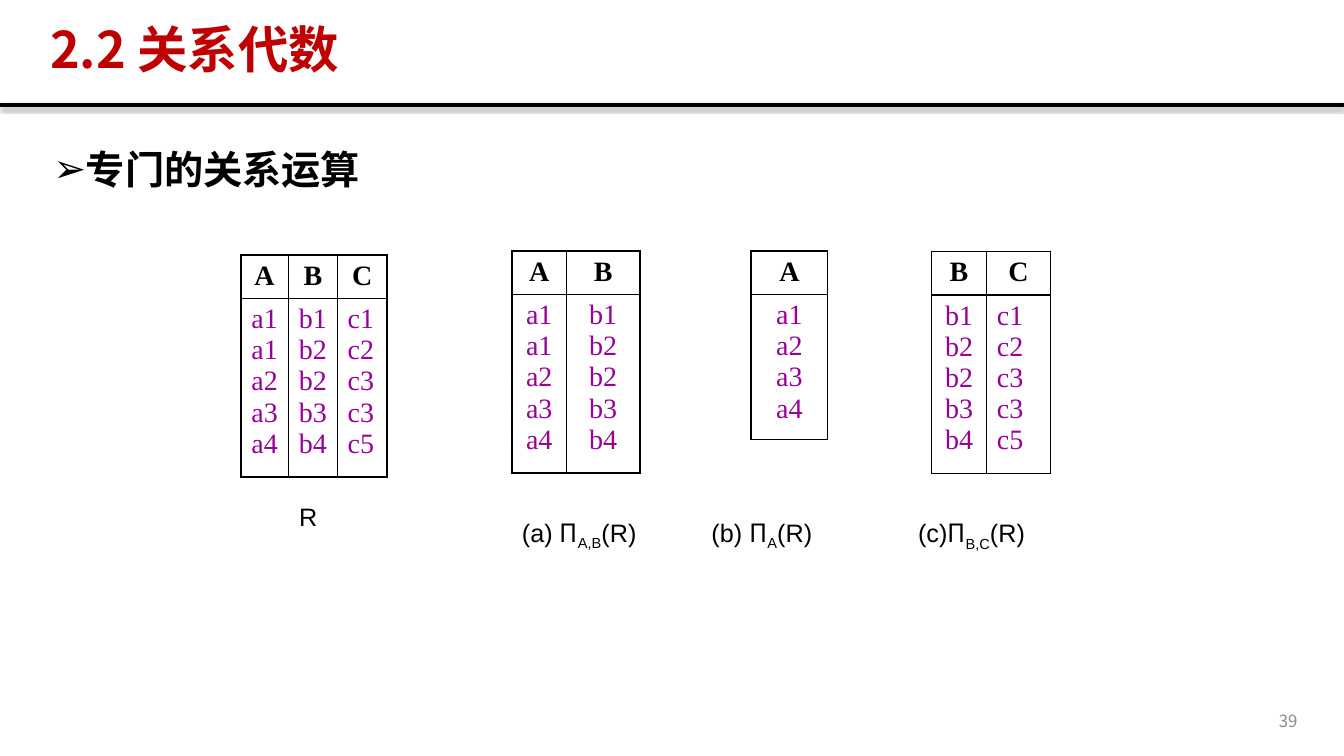
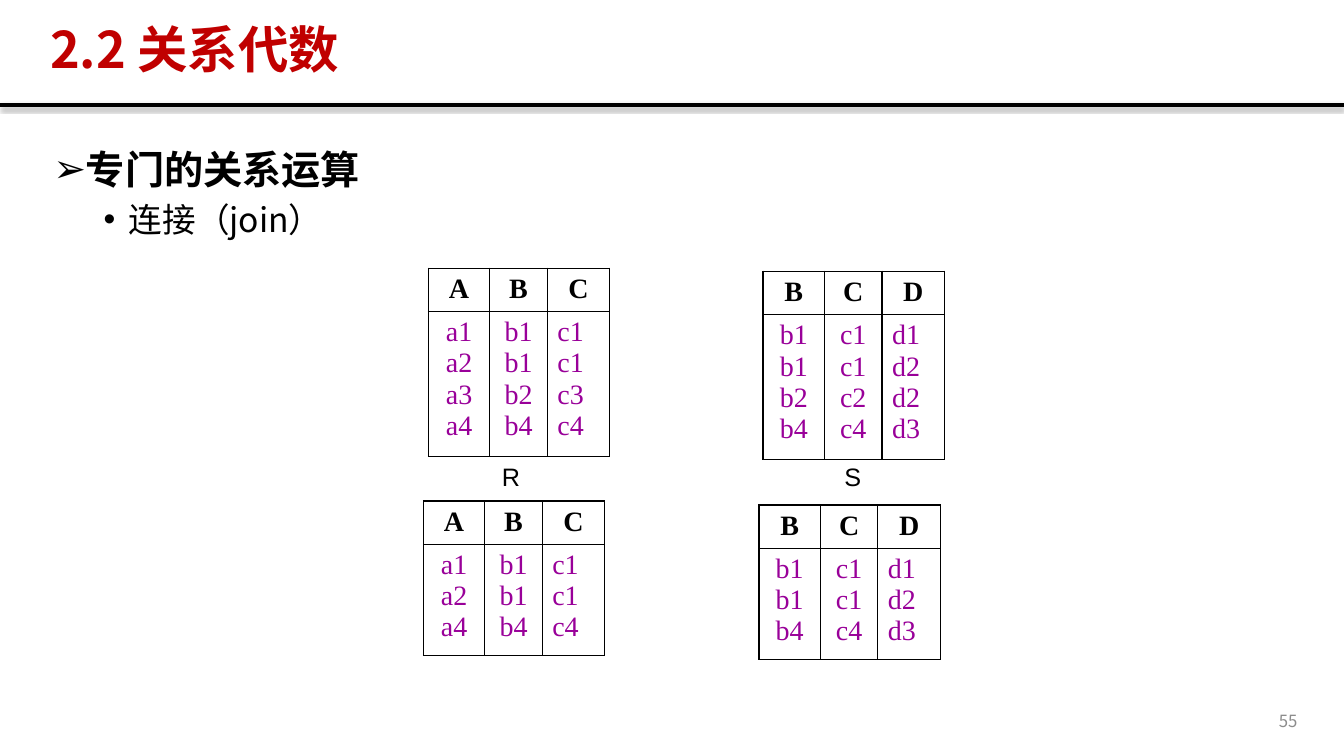
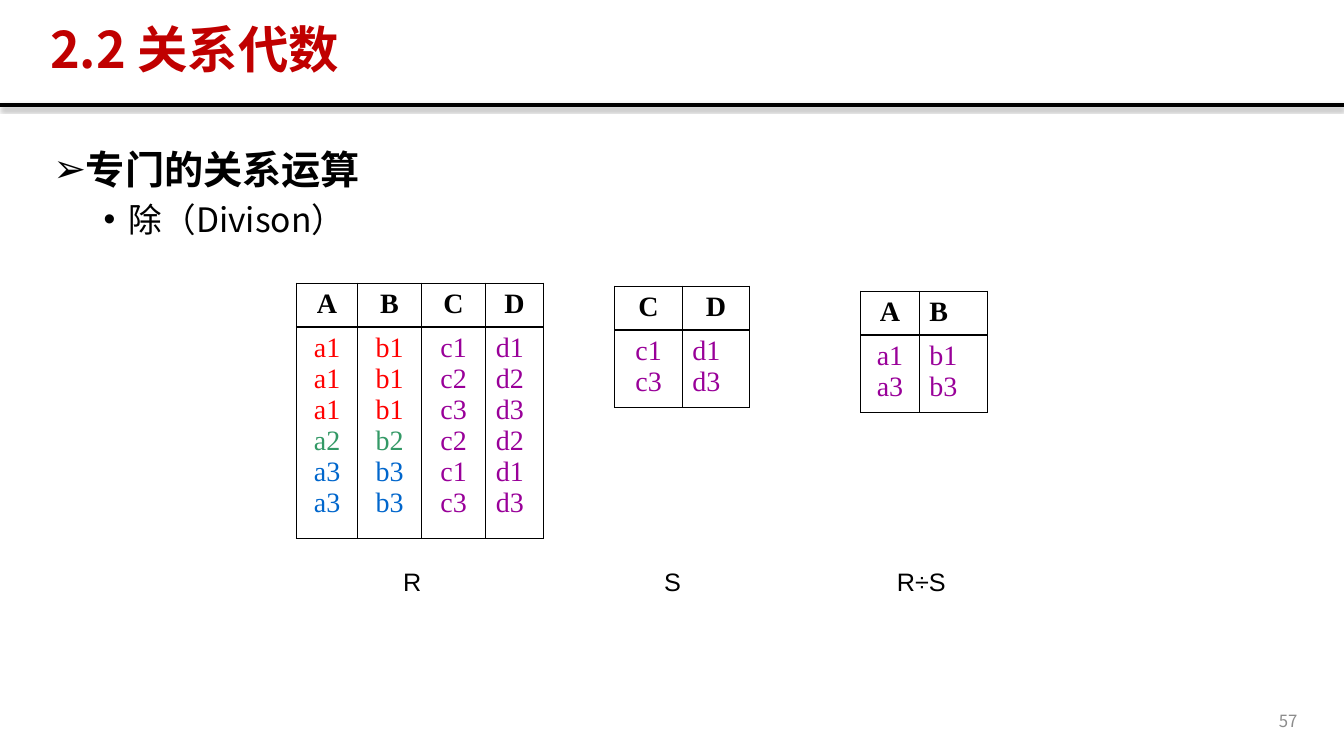
from lxml import etree
from pptx import Presentation
from pptx import util as u
from pptx.dml.color import RGBColor
from pptx.enum import shapes, text
from pptx.oxml import ns

COLUMNS, ROWS = 40, 22.5
CELL = u.Inches(13.3333) / COLUMNS
BLACK, PURPLE, TITLE_RED, GREY = "000000", "990099", "C00000", "8C8C8C"
RED, GREEN, BLUE = "FF0000", "339966", "0066CC"
SANS, SERIF, CAPTION = "Noto Sans CJK SC", "Times New Roman", "Arial"
ALIGN = text.PP_ALIGN
HEADER_ROWS, CELL_PADDING = 1.3, 0.3
TITLE_BOX = (1.2, 0.57, 35.1, 1.95)
BODY_BOX = (1.29, 4.17, 37.6, 16)
NUMBER_BOX = (29.91, 20.85, 9, 1.2)
RULE_ROW = 3.12
THREE_COLUMNS = (1.83, 1.71, 1.86)
GROUP_TINTS = {"a1": RED, "b1": RED, "a2": GREEN, "b2": GREEN, "a3": BLUE, "b3": BLUE}


def grid(*lengths):
    return [u.Emu(round(length * CELL)) for length in lengths]


def color(value):
    return RGBColor.from_string(value)


def add_xml(parent, tag, **attributes):
    return etree.SubElement(parent, ns.qn(tag), attributes)


def add_span(para, words, size, face, tint=BLACK, bold=False, subscript=False):
    span = para.add_run()
    span.text = words
    font = span.font
    font.size, font.bold, font.name = u.Pt(size), bold, face
    font.color.rgb = color(tint)
    properties = span._r.get_or_add_rPr()
    add_xml(properties, "a:ea", typeface=face)
    if subscript:
        properties.set("baseline", "-25000")


def add_frame(page, box, wrap=True, middle=False, grow=False):
    frame = page.shapes.add_textbox(*grid(*box)).text_frame
    frame.word_wrap = wrap
    if middle:
        frame.vertical_anchor = text.MSO_ANCHOR.MIDDLE
    if grow:
        frame.auto_size = text.MSO_AUTO_SIZE.SHAPE_TO_FIT_TEXT
    return frame


def add_rule(page):
    left, right, row = grid(0, COLUMNS, RULE_ROW)
    rule = page.shapes.add_connector(shapes.MSO_CONNECTOR.STRAIGHT, left, row, right, row)
    rule.line.color.rgb = color(BLACK)
    rule.line.width = u.Pt(3)
    effects = add_xml(rule._element.spPr, "a:effectLst")
    shadow = add_xml(effects, "a:outerShdw", blurRad=str(u.Pt(3.1)), dist=str(u.Pt(1.8)),
                     dir="5400000", algn="t", rotWithShape="0")
    add_xml(add_xml(shadow, "a:srgbClr", val=BLACK), "a:alpha", val="35000")


def add_title(page, box):
    para = add_frame(page, box, middle=True, grow=True).paragraphs[0]
    para.alignment, para.line_spacing = ALIGN.JUSTIFY, 0.9
    add_span(para, "2.2 关系代数", 36, SANS, TITLE_RED, bold=True)


def set_bullet(para, mark, indent):
    properties = para._p.get_or_add_pPr()
    properties.set("marL", str(u.Inches(indent)))
    properties.set("indent", str(-u.Inches(0.25)))
    add_xml(properties, "a:buFont", typeface=CAPTION)
    add_xml(properties, "a:buChar", char=mark)
    para.alignment = ALIGN.JUSTIFY


def add_outline(page, box, topic):
    frame = add_frame(page, box)
    heading = frame.paragraphs[0]
    set_bullet(heading, "➢", 0.25)
    add_span(heading, "专门的关系运算", 28, SANS, bold=True)
    if topic:
        para = frame.add_paragraph()
        para.level = 1
        set_bullet(para, "•", 0.75)
        para.space_before = u.Pt(5)
        add_span(para, topic, 24, SANS)


def add_number(page, box, number):
    para = add_frame(page, box, middle=True).paragraphs[0]
    para.alignment = ALIGN.RIGHT
    add_span(para, str(number), 12, SANS, GREY)


def add_page(deck, number, topic=None):
    page = deck.slides.add_slide(deck.slide_layouts[6])
    add_rule(page)
    add_outline(page, BODY_BOX, topic)
    add_number(page, NUMBER_BOX, number)
    add_title(page, TITLE_BOX)
    return page


def set_borders(cell):
    properties = cell._tc.get_or_add_tcPr()
    for side in ("a:lnL", "a:lnR", "a:lnT", "a:lnB"):
        border = add_xml(properties, side, w=str(u.Pt(1)))
        add_xml(add_xml(border, "a:solidFill"), "a:srgbClr", val=BLACK)


def fill_cell(cell, values, alignment, tints, bold=False):
    set_borders(cell)
    cell.fill.background()
    frame = cell.text_frame
    for index, value in enumerate(values):
        para = frame.add_paragraph() if index else frame.paragraphs[0]
        para.alignment = alignment
        add_span(para, value, 20, SERIF, BLACK if bold else tints.get(value, PURPLE), bold)


def add_relation(page, left, top, widths, attributes, last_left=True, header_left=False, tints=None):
    columns = [attribute.split() for attribute in attributes]
    heights = (HEADER_ROWS, len(columns[0]) - 1 + CELL_PADDING)
    box = grid(left, top, sum(widths), sum(heights))
    table = page.shapes.add_table(2, len(columns), *box).table
    table.first_row = table.horz_banding = False
    for row, height in zip(table.rows, grid(*heights)):
        row.height = height
    for index, (width, (name, *values)) in enumerate(zip(grid(*widths), columns)):
        table.columns[index].width = width
        last = index == len(columns) - 1
        head_align = ALIGN.LEFT if last and header_left else ALIGN.CENTER
        body_align = ALIGN.LEFT if last and last_left else ALIGN.CENTER
        fill_cell(table.cell(0, index), [name], head_align, {}, bold=True)
        fill_cell(table.cell(1, index), values, body_align, tints or {})


def add_caption(page, left, top, width, words):
    para = add_frame(page, (left, top, width, 1.2), wrap=False, grow=True).paragraphs[0]
    add_span(para, words, 18, CAPTION)
    return para


def add_projection(page, left, top, width, label, attributes):
    para = add_caption(page, left, top, width, label)
    add_span(para, "Π", 18, SANS)
    add_span(para, attributes, 18, CAPTION, subscript=True)
    add_span(para, "(R)", 18, CAPTION)


def build_projection(deck):
    page = add_page(deck, 39)
    a, b, c = "A a1 a1 a2 a3 a4", "B b1 b2 b2 b3 b4", "C c1 c2 c3 c3 c5"
    add_relation(page, 7.17, 7.59, (1.41, 1.47, 1.47), (a, b, c))
    add_relation(page, 15.24, 7.47, (1.62, 2.19), (a, b), last_left=False)
    add_relation(page, 22.35, 7.47, (2.29,), ("A a1 a2 a3 a4",), last_left=False)
    add_relation(page, 27.72, 7.48, (1.65, 1.89), (b, c))
    add_caption(page, 8.61, 14.76, 1.14, "R")
    add_projection(page, 15.24, 15.24, 4.59, "(a) ", "A,B")
    add_projection(page, 20.88, 15.24, 4.05, "(b) ", "A")
    add_projection(page, 27.03, 15.26, 4.32, "(c)", "B,C")


def build_join(deck):
    page = add_page(deck, 55, "连接（join）")
    for left, top, attributes in (
        (12.75, 7.98, ("A a1 a2 a3 a4", "B b1 b1 b2 b4", "C c1 c1 c3 c4")),
        (22.71, 8.07, ("B b1 b1 b2 b4", "C c1 c1 c2 c4", "D d1 d2 d2 d3")),
        (12.6, 14.91, ("A a1 a2 a4", "B b1 b1 b4", "C c1 c1 c4")),
        (22.59, 15.03, ("B b1 b1 b4", "C c1 c1 c4", "D d1 d2 d3")),
    ):
        add_relation(page, left, top, THREE_COLUMNS, attributes)
    add_caption(page, 14.64, 13.59, 1.14, "R")
    add_caption(page, 24.84, 13.59, 1.11, "S")


def build_division(deck):
    page = add_page(deck, 57, "除（Divison）")
    dividend = ("A a1 a1 a1 a2 a3 a3", "B b1 b1 b1 b2 b3 b3",
                "C c1 c2 c3 c2 c1 c3", "D d1 d2 d3 d2 d1 d3")
    add_relation(page, 8.82, 8.43, (1.83, 1.89, 1.92, 1.71), dividend, tints=GROUP_TINTS)
    add_relation(page, 18.3, 8.52, (2.01, 2.01), ("C c1 c3", "D d1 d3"))
    add_relation(page, 25.62, 8.67, (1.74, 2.04), ("A a1 a3", "B b1 b3"), header_left=True)
    for left, width, words in ((11.7, 1.14, "R"), (19.47, 1.11, "S"), (26.4, 2.4, "R÷S")):
        add_caption(page, left, 16.71, width, words)


def main():
    deck = Presentation()
    deck.slide_width, deck.slide_height = grid(COLUMNS, ROWS)
    build_projection(deck)
    build_join(deck)
    build_division(deck)
    deck.save("out.pptx")


if __name__ == "__main__":
    main()
